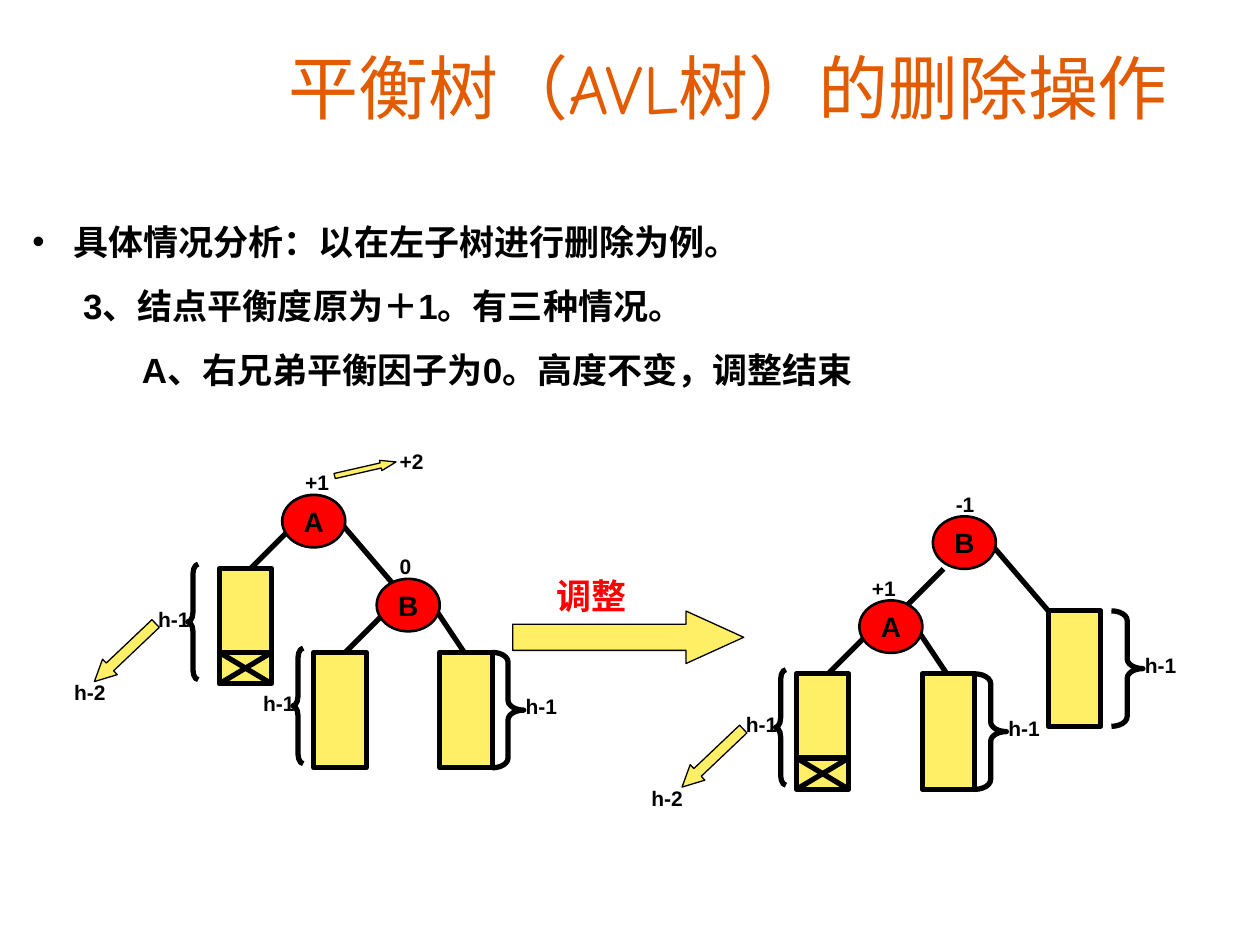
from lxml import etree
from pptx import Presentation
from pptx.dml.color import RGBColor
from pptx.enum.shapes import MSO_CONNECTOR, MSO_SHAPE
from pptx.enum.text import MSO_ANCHOR, PP_ALIGN
from pptx.oxml.ns import qn
from pptx.util import Pt

BLACK, RED, YELLOW, ORANGE = "000000", "FF0000", "FFEF66", "E25B00"
NODE_WIDTH, NODE_HEIGHT = 36, 30
SUBTREE_WIDTH, SUBTREE_HEIGHT = 30, 66
DELETED_HEIGHT = 18


def color(value):
    return RGBColor.from_string(value)


def format_font(font, size, value=BLACK, name="Arial", bold=True):
    for attribute, setting in {"size": Pt(size), "name": name, "bold": bold}.items():
        setattr(font, attribute, setting)
    font.color.rgb = color(value)


def add_box(slide, kind, left, top, width, height, fill=None, line_width=3.0, adjustments=(), rotation=0):
    shape = slide.shapes.add_shape(kind, Pt(left), Pt(top), Pt(width), Pt(height))
    shape.shadow.inherit = False
    if fill:
        shape.fill.solid()
        shape.fill.fore_color.rgb = color(fill)
    else:
        shape.fill.background()
    shape.line.color.rgb = color(BLACK)
    shape.line.width = Pt(line_width)
    shape.rotation = rotation
    for index, value in enumerate(adjustments):
        shape.adjustments[index] = value
    return shape


def add_arrow(slide, left, top, width, height, head, rotation=0):
    add_box(slide, MSO_SHAPE.RIGHT_ARROW, left, top, width, height, YELLOW, 0.75, (0.5, head), rotation)


def add_line(slide, start_x, start_y, end_x, end_y):
    line = slide.shapes.add_connector(
        MSO_CONNECTOR.STRAIGHT, Pt(start_x), Pt(start_y), Pt(end_x), Pt(end_y))
    line.line.color.rgb = color(BLACK)
    line.line.width = Pt(3)
    etree.SubElement(line._element.spPr, qn("a:effectLst"))


def add_label(slide, text, left, top, width=36, height=21.6, size=12, value=BLACK):
    box = slide.shapes.add_textbox(Pt(left), Pt(top), Pt(width), Pt(height))
    box.text_frame.word_wrap = True
    paragraph = box.text_frame.paragraphs[0]
    paragraph.text = text
    format_font(paragraph.font, size, value)


def add_node(slide, text, left, top):
    node = add_box(slide, MSO_SHAPE.OVAL, left, top, NODE_WIDTH, NODE_HEIGHT, RED, 1.5)
    node.text_frame.word_wrap = False
    node.text_frame.vertical_anchor = MSO_ANCHOR.MIDDLE
    paragraph = node.text_frame.paragraphs[0]
    paragraph.text = text
    paragraph.alignment = PP_ALIGN.CENTER
    format_font(paragraph.font, 16)


def add_subtree(slide, left, top, side, gap=0, deleted=False):
    """Draw a subtree with its height brace on one side, and its deleted part."""
    add_box(slide, MSO_SHAPE.RECTANGLE, left, top, SUBTREE_WIDTH, SUBTREE_HEIGHT, YELLOW)
    if side == "left":
        add_box(slide, MSO_SHAPE.LEFT_BRACE, left - 12 - gap, top - 2.4, 6, SUBTREE_HEIGHT,
                adjustments=(0.92, 0.5))
        add_label(slide, "h-1", left - 36 - gap, top + 18)
    else:
        add_box(slide, MSO_SHAPE.RIGHT_BRACE, left + SUBTREE_WIDTH + gap, top, 18, SUBTREE_HEIGHT,
                adjustments=(0.31, 0.5))
        add_label(slide, "h-1", left + 42 + gap, top + 20.2)
    if deleted:
        right, bottom = left + SUBTREE_WIDTH, top + SUBTREE_HEIGHT
        middle = bottom - DELETED_HEIGHT
        add_line(slide, left, middle, right, middle)
        add_line(slide, right, middle, left, bottom)
        add_line(slide, left, middle, right, bottom)
        add_arrow(slide, left - 72 - gap, top + 42, 48.2, 12.2, 1, 136.5)
        add_label(slide, "h-2", left - 90, top + 60)


def add_tree(slide, left, top, edges, nodes, labels, subtrees):
    """Draw a tree whose parts are placed relative to its left top corner."""
    for start_x, start_y, end_x, end_y in edges:
        add_line(slide, left + start_x, top + start_y, left + end_x, top + end_y)
    for text, x, y in nodes:
        add_node(slide, text, left + x, top + y)
    for x, y, *options in subtrees:
        add_subtree(slide, left + x, top + y, *options)
    for text, x, y in labels:
        add_label(slide, text, left + x, top + y)


def add_title(slide, left, top, width, height):
    title = slide.shapes.title
    box = {"left": left, "top": top, "width": width, "height": height}
    for attribute, value in box.items():
        setattr(title, attribute, Pt(value))
    title.text_frame.vertical_anchor = MSO_ANCHOR.MIDDLE
    paragraph = title.text_frame.paragraphs[0]
    paragraph.alignment = PP_ALIGN.CENTER
    run = paragraph.add_run()
    run.text = "平衡树（AVL树）的删除操作"
    format_font(run.font, 40, ORANGE, "Comic Neue", False)


def add_analysis(slide, left, top, width, height):
    box = slide.shapes.add_textbox(Pt(left), Pt(top), Pt(width), Pt(height))
    frame = box.text_frame
    frame.word_wrap = True
    frame.margin_right = 0
    lines = [
        (41.5, [("具体情况分析：以在左子树进行删除为例。", "Arial")]),
        (47, [("3、结点平衡度原为＋1。有三种情况。", "Arial")]),
        (80.5, [("A、右兄弟平衡因子为0。", "Arial"), ("高度不变，调整结束", "Comic Neue")]),
    ]
    for index, (margin, runs) in enumerate(lines):
        paragraph = frame.add_paragraph() if index else frame.paragraphs[0]
        properties = paragraph._p.get_or_add_pPr()
        properties.set("marL", str(Pt(margin)))
        if index:
            paragraph.space_before = Pt(12.5)
        else:
            properties.set("indent", str(Pt(-23.5)))
            etree.SubElement(properties, qn("a:buFont"), typeface="Arial")
            etree.SubElement(properties, qn("a:buChar"), char="•")
        for text, font_name in runs:
            run = paragraph.add_run()
            run.text = text
            format_font(run.font, 20, name=font_name)


def add_adjustment(slide, left, top):
    add_arrow(slide, left, top + 24.5, 132, 30, 1.1)
    add_label(slide, "调整", left + 18, top, 96, 32, 20, RED)


def main():
    presentation = Presentation()
    presentation.slide_width, presentation.slide_height = Pt(720), Pt(540)
    slide = presentation.slides.add_slide(presentation.slide_layouts[5])
    add_title(slide, 112.3, 23, 607.7, 53.3)
    add_analysis(slide, -6.5, 122.4, 520, 104.4)

    before_left, before_top = 35.3, 252.8
    add_tree(
        slide, before_left, before_top,
        edges=[(138, 42, 108, 72), (156, 42, 192, 84), (192, 90, 162, 120), (210, 90, 234, 126)],
        nodes=[("A", 126, 30), ("B", 180, 78)],
        labels=[("+1", 132, 12), ("+2", 186, 0), ("0", 186, 60)],
        subtrees=[(90, 72, "left", 6, True), (144, 120, "left"), (216, 120, "right")],
    )
    add_arrow(slide, before_left + 155.5, before_top + 12.2, 36, 6, 1.5, 347.1)
    add_adjustment(slide, 293, 324.7)
    add_tree(
        slide, 365.1, 277.1,
        edges=[(174, 48, 150, 72), (198, 30, 234, 72), (138, 78, 108, 108), (156, 78, 180, 114)],
        nodes=[("B", 168, 18), ("A", 126, 66)],
        labels=[("-1", 174, 0), ("+1", 126, 48)],
        subtrees=[(90, 108, "left", 0, True), (162, 108, "right"), (234, 72, "right", 6)],
    )
    presentation.save("out.pptx")


if __name__ == "__main__":
    main()
